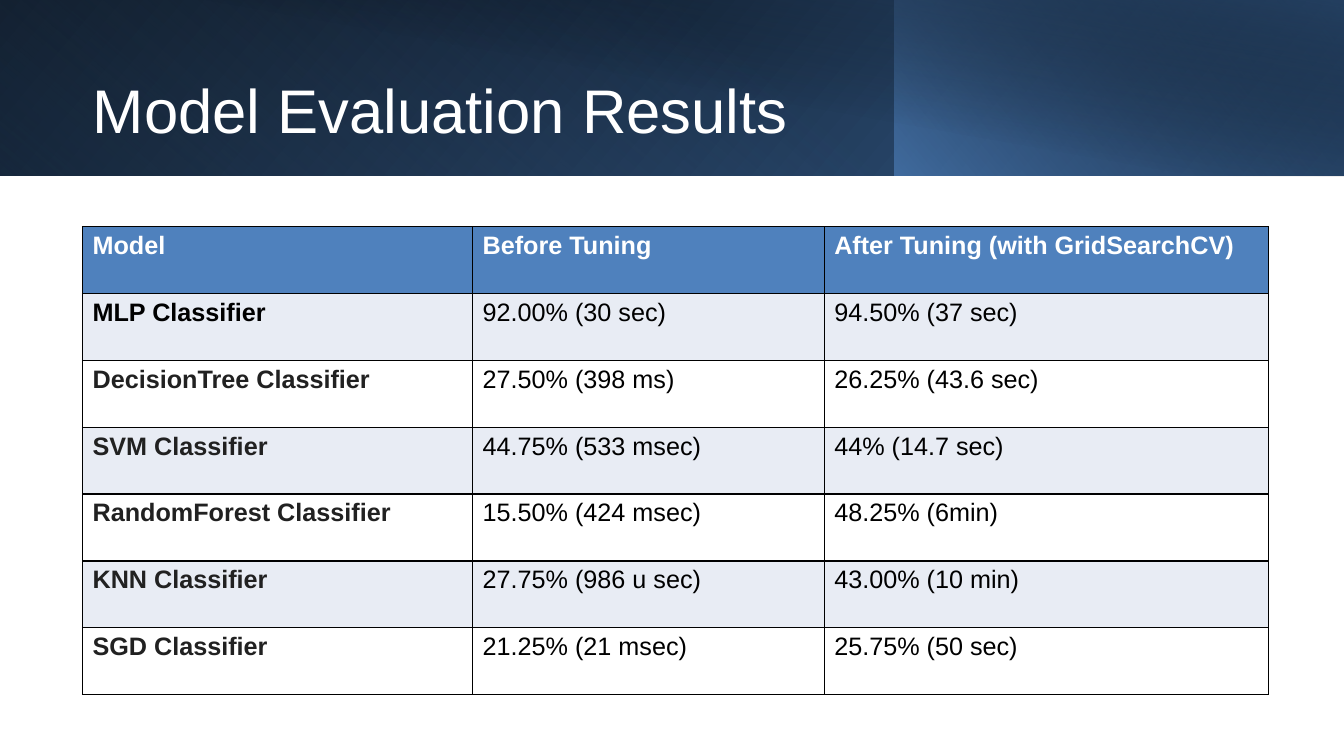
from collections import namedtuple

from lxml.etree import SubElement
from pptx import Presentation
from pptx.dml.color import RGBColor
from pptx.enum.shapes import MSO_SHAPE as Shape
from pptx.enum.text import MSO_ANCHOR as Anchor
from pptx.oxml.ns import qn
from pptx.util import Cm, Pt

Box = namedtuple("Box", "left top width height")

BLACK = RGBColor(0x00, 0x00, 0x00)
WHITE = RGBColor(0xFF, 0xFF, 0xFF)
CHARCOAL = RGBColor(0x21, 0x21, 0x21)
BLUE = RGBColor(0x4F, 0x81, 0xBD)
STEEL = RGBColor(0x36, 0x60, 0x92)
NAVY = RGBColor(0x24, 0x40, 0x61)
PALE = RGBColor(0xE8, 0xEC, 0xF4)

COLUMN_WIDTHS = (9.83, 8.86, 11.2)
RESULTS = (
    ("Model", "Before Tuning", "After Tuning (with GridSearchCV)"),
    ("MLP Classifier", "92.00% (30 sec)", "94.50% (37 sec)"),
    ("DecisionTree Classifier", "27.50% (398 ms)", "26.25% (43.6 sec)"),
    ("SVM Classifier", "44.75% (533 msec)", "44% (14.7 sec)"),
    ("RandomForest Classifier", "15.50% (424 msec)", "48.25% (6min)"),
    ("KNN Classifier", "27.75% (986 u sec)", "43.00% (10 min)"),
    ("SGD Classifier", "21.25% (21 msec)", "25.75% (50 sec)"),
)


def write_text(frame, text, size=18, color=BLACK, bold=False, spacing=None):
    para = frame.paragraphs[0]
    para.line_spacing = spacing
    span = para.add_run()
    span.text = text
    span.font.name = "Arial"
    span.font.size = Pt(size)
    span.font.bold = bold
    span.font.color.rgb = color


def add_gradient_panel(page, box, stops, angle, flipped=True, rotation=0):
    panel = page.shapes.add_shape(Shape.RECTANGLE, *map(Cm, box))
    panel.shadow.inherit = False
    panel.line.fill.background()
    panel.rotation = rotation
    if flipped:
        panel._element.spPr.find(qn("a:xfrm")).set("flipH", "1")
    panel.fill.gradient()
    gradient = panel._element.spPr.find(qn("a:gradFill"))
    for child in list(gradient):
        gradient.remove(child)
    stop_list = SubElement(gradient, qn("a:gsLst"))
    for position, color, opacity in stops:
        stop = SubElement(stop_list, qn("a:gs"), pos=str(position * 1000))
        tint = SubElement(stop, qn("a:srgbClr"), val=str(color))
        if opacity < 100:
            SubElement(tint, qn("a:alpha"), val=str(opacity * 1000))
    SubElement(gradient, qn("a:lin"), ang=str(angle * 60000), scaled="0")


def add_header(page, box, title):
    left, top, width, height = box
    split = 22.54
    add_gradient_panel(page, box, [(0, BLACK, 100), (100, STEEL, 100)], 140)
    add_gradient_panel(page, Box(left, top, split, height),
                       [(0, BLUE, 0), (20, BLUE, 0), (100, NAVY, 55)], 230, rotation=180)
    add_gradient_panel(page, Box(left + split, top, width - split, height),
                       [(0, BLUE, 65), (100, BLACK, 29)], 220)
    add_gradient_panel(page, Box(left + 1.27, top, width - 1.27, height + 0.03),
                       [(0, BLACK, 0), (50, BLACK, 0), (99, NAVY, 51), (100, NAVY, 51)],
                       280, flipped=False)
    heading = page.shapes.add_textbox(Cm(left + 2.34), Cm(top + 1.02), Cm(29.21), Cm(3.68))
    frame = heading.text_frame
    frame.word_wrap = True
    frame.vertical_anchor = Anchor.MIDDLE
    frame.margin_left = frame.margin_right = frame.margin_top = frame.margin_bottom = 0
    write_text(frame, title, size=44, color=WHITE, spacing=0.9)


def add_cell_borders(cell):
    properties = cell._tc.get_or_add_tcPr()
    for index, side in enumerate(("a:lnL", "a:lnR", "a:lnT", "a:lnB")):
        line = properties.makeelement(qn(side), {"w": str(Pt(1))})
        properties.insert(index, line)
        SubElement(SubElement(line, qn("a:solidFill")), qn("a:srgbClr"), val=str(BLACK))


def cell_style(row, column):
    if row == 0:
        return BLUE, WHITE, True
    fill = PALE if row % 2 else WHITE
    color = CHARCOAL if column == 0 and row > 1 else BLACK
    return fill, color, column == 0


def add_results_table(page, box, results):
    table = page.shapes.add_table(len(results), len(COLUMN_WIDTHS), *map(Cm, box)).table
    for column, width in zip(table.columns, COLUMN_WIDTHS):
        column.width = Cm(width)
    for row_index, values in enumerate(results):
        table.rows[row_index].height = Cm(box.height / len(results))
        for column_index, value in enumerate(values):
            cell = table.cell(row_index, column_index)
            fill, color, bold = cell_style(row_index, column_index)
            cell.fill.solid()
            cell.fill.fore_color.rgb = fill
            add_cell_borders(cell)
            write_text(cell.text_frame, value, color=color, bold=bold)


def main():
    deck = Presentation()
    deck.slide_width, deck.slide_height = Cm(33.87), Cm(19.05)
    page = deck.slides.add_slide(deck.slide_layouts[6])
    add_header(page, Box(0, 0, 33.87, 4.42), "Model Evaluation Results")
    add_results_table(page, Box(2.08, 5.71, sum(COLUMN_WIDTHS), 11.8), RESULTS)
    deck.save("out.pptx")


if __name__ == "__main__":
    main()
